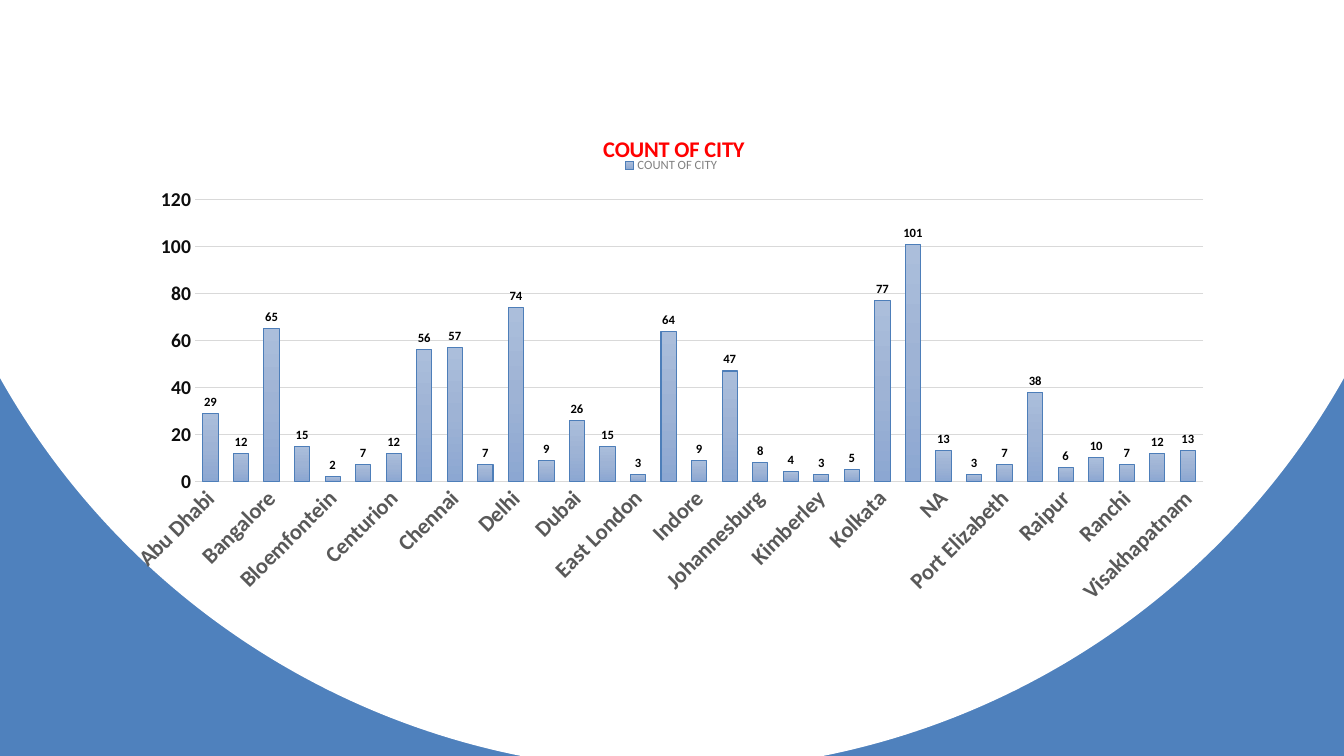
from pptx import Presentation
from pptx.chart.data import CategoryChartData
from pptx.dml.color import RGBColor
from pptx.enum.chart import XL_CHART_TYPE, XL_LABEL_POSITION, XL_LEGEND_POSITION, XL_TICK_MARK
from pptx.oxml import parse_xml
from pptx.oxml.ns import nsdecls, qn
from pptx.util import Inches, Pt

TITLE = "COUNT OF CITY"
CITY_COUNTS = {
    "Abu Dhabi": 29, "Ahmedabad": 12, "Bangalore": 65, "Bengaluru": 15,
    "Bloemfontein": 2, "Cape Town": 7, "Centurion": 12, "Chandigarh": 56,
    "Chennai": 57, "Cuttack": 7, "Delhi": 74, "Dharamsala": 9,
    "Dubai": 26, "Durban": 15, "East London": 3, "Hyderabad": 64,
    "Indore": 9, "Jaipur": 47, "Johannesburg": 8, "Kanpur": 4,
    "Kimberley": 3, "Kochi": 5, "Kolkata": 77, "Mumbai": 101,
    "NA": 13, "Nagpur": 3, "Port Elizabeth": 7, "Pune": 38,
    "Raipur": 6, "Rajkot": 10, "Ranchi": 7, "Sharjah": 12,
    "Visakhapatnam": 13,
}

BLACK = RGBColor(0x00, 0x00, 0x00)
RED = RGBColor(0xFF, 0x00, 0x00)
INK = RGBColor(0x0D, 0x0D, 0x0D)
DARK_GREY = RGBColor(0x59, 0x59, 0x59)
GREY = RGBColor(0x80, 0x80, 0x80)
GRID_GREY = RGBColor(0xD9, 0xD9, 0xD9)
BAR_EDGE = RGBColor(0x4D, 0x7E, 0xB9)
WHITE = RGBColor(0xFF, 0xFF, 0xFF)
BLUE = RGBColor(0x4F, 0x81, 0xBD)
BAR_STOPS = [(0, RGBColor(0xAB, 0xBE, 0xDB)), (50, RGBColor(0x9E, 0xB3, 0xD5)),
             (100, RGBColor(0x8C, 0xA7, 0xD2))]
BACKGROUND_STOPS = [(100, WHITE), (100, BLUE)]
DOWNWARD = '<a:lin ang="5400000" scaled="0"/>'
CIRCULAR = ('<a:path path="circle">'
            '<a:fillToRect l="50000" t="-80000" r="50000" b="180000"/></a:path>')


def gradient(stops, direction):
    marks = "".join(f'<a:gs pos="{pos * 1000}"><a:srgbClr val="{color}"/></a:gs>'
                    for pos, color in stops)
    return (f'<a:gradFill {nsdecls("a")} rotWithShape="1">'
            f'<a:gsLst>{marks}</a:gsLst>{direction}</a:gradFill>')


def place(part, index, box, inner=False):
    for layout in part.findall(qn("c:layout")):
        part.remove(layout)
    target = '<c:layoutTarget val="inner"/>' if inner else ""
    modes = '<c:xMode val="edge"/><c:yMode val="edge"/>'
    sizes = "".join(f'<c:{side} val="{value}"/>' for side, value in zip("xywh", box))
    part.insert(index, parse_xml(
        f'<c:layout {nsdecls("c")}><c:manualLayout>{target}{modes}{sizes}'
        '</c:manualLayout></c:layout>'))


def draw_line(line, color):
    line.color.rgb = color
    line.width = Pt(0.75)


prs = Presentation()
prs.slide_width, prs.slide_height = Inches(13.33), Inches(7.5)
slide = prs.slides.add_slide(prs.slide_layouts[6])
slide._element.cSld.insert(0, parse_xml(
    f'<p:bg {nsdecls("p")}><p:bgPr>{gradient(BACKGROUND_STOPS, CIRCULAR)}'
    f'<a:effectLst {nsdecls("a")}/></p:bgPr></p:bg>'))

city_data = CategoryChartData()
city_data.categories = list(CITY_COUNTS)
city_data.add_series(TITLE, list(CITY_COUNTS.values()))
chart = slide.shapes.add_chart(
    XL_CHART_TYPE.COLUMN_CLUSTERED, Inches(1.05), Inches(1.04),
    Inches(11.22), Inches(5.47), city_data).chart

chart.has_title = True
heading = chart.chart_title.text_frame
heading.text = TITLE
chart.has_legend = True
legend = chart.legend
legend.position = XL_LEGEND_POSITION.RIGHT
legend.include_in_layout = False

plot = chart.plots[0]
plot.gap_width = 100
plot.vary_by_categories = False
bars = plot.series[0]
draw_line(bars.format.line, BAR_EDGE)
bars.format.line._ln.addprevious(parse_xml(gradient(BAR_STOPS, DOWNWARD)))
counts = bars.data_labels
counts.show_value = True
counts.position = XL_LABEL_POSITION.OUTSIDE_END

cities, scale = chart.category_axis, chart.value_axis
for axis in (cities, scale):
    axis.major_tick_mark = axis.minor_tick_mark = XL_TICK_MARK.NONE
draw_line(cities.format.line, GRID_GREY)
scale.format.line.fill.background()
scale.minimum_scale, scale.maximum_scale, scale.major_unit = 0, 120, 20
draw_line(scale.major_gridlines.format.line, GRID_GREY)

FONT_FORMATS = [
    (chart.font, {"size": Pt(10), "bold": False}, BLACK),
    (heading.paragraphs[0].runs[0].font, {"size": Pt(16), "bold": True}, RED),
    (legend.font, {"size": Pt(9), "bold": False}, GREY),
    (counts.font, {"size": Pt(9), "bold": True}, BLACK),
    (cities.tick_labels.font, {"size": Pt(16), "bold": True}, DARK_GREY),
    (scale.tick_labels.font, {"size": Pt(14), "bold": True}, INK),
]
for font, formats, color in FONT_FORMATS:
    for attribute, value in {"name": "Calibri", **formats}.items():
        setattr(font, attribute, value)
    font.color.rgb = color

city_text = cities._element.find(qn("c:txPr")).find(qn("a:bodyPr"))
city_text.set("rot", "-2700000")
city_text.set("vert", "horz")

place(chart._chartSpace.chart.plotArea, 0, (0.079, 0.172, 0.891, 0.511), inner=True)
place(chart.chart_title._element, 1, (0.436, 0.046))
place(legend._element, 1, (0.45, 0.09, 0.1, 0.04))

prs.save("out.pptx")
